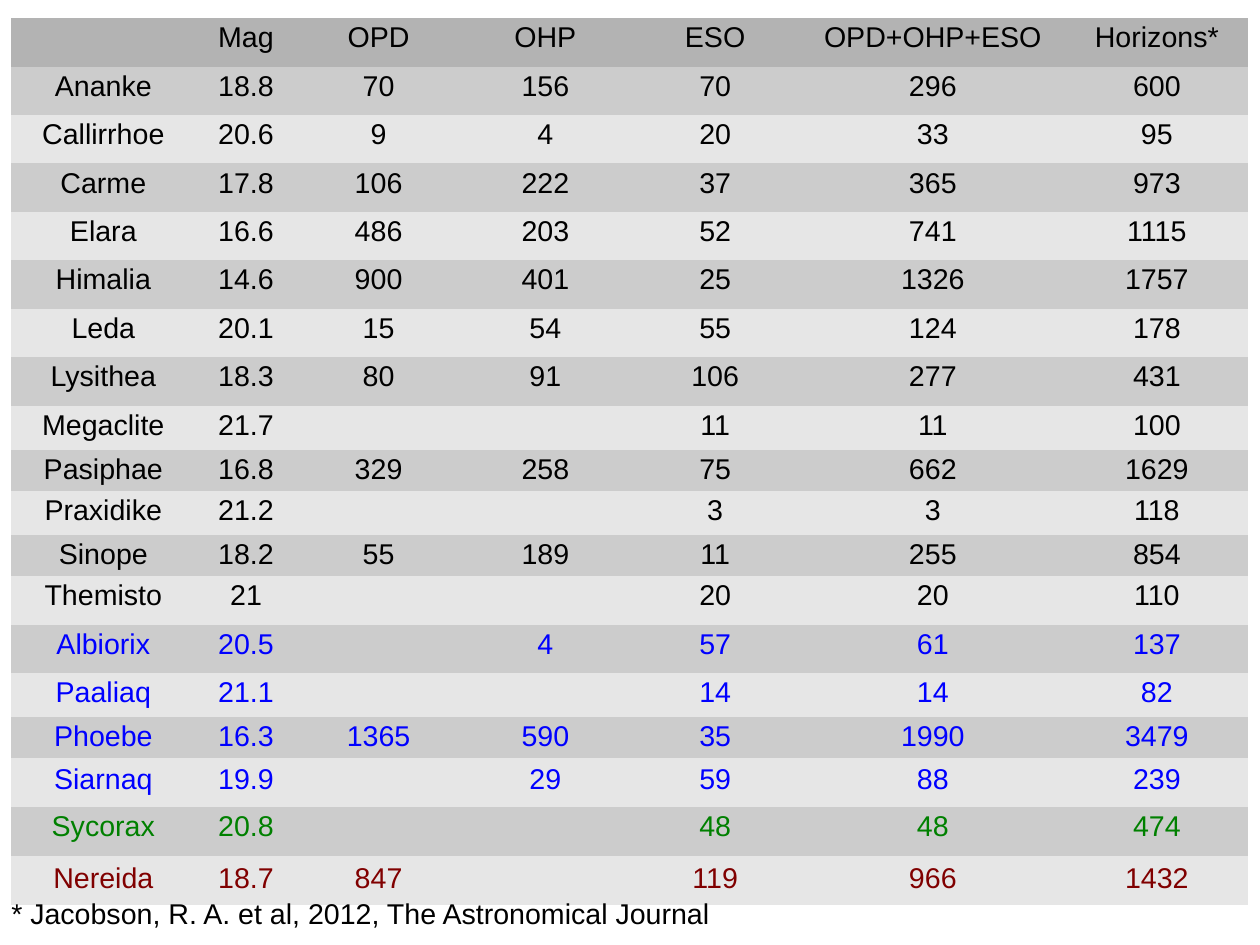
from lxml.etree import SubElement
from pptx import Presentation
from pptx.dml.color import RGBColor
from pptx.enum.text import MSO_ANCHOR, PP_ALIGN
from pptx.oxml.ns import qn
from pptx.util import Pt

CENTER = PP_ALIGN.CENTER
LEFT = PP_ALIGN.LEFT
TOP = MSO_ANCHOR.TOP

BLACK = RGBColor(0x00, 0x00, 0x00)
BLUE = RGBColor(0x00, 0x00, 0xFF)
GREEN = RGBColor(0x00, 0x80, 0x00)
MAROON = RGBColor(0x80, 0x00, 0x00)
HEAD_FILL = RGBColor(0xB3, 0xB3, 0xB3)
DARK_FILL = RGBColor(0xCC, 0xCC, 0xCC)
LIGHT_FILL = RGBColor(0xE6, 0xE6, 0xE6)

FONT = "Arial"
SIZE = 18
TIGHT = 0.93
NO_STYLE = "{2D5ABB26-0587-4C30-8999-92F81FD0307C}"

WIDTHS = [116.4, 63.4, 103.6, 106.6, 107.3, 167, 115.2]
HEIGHTS = [30.55] * 8 + [27.7, 25.9] * 2 + [30.55] * 2 + [27.7, 25.9] + [30.9] * 3
LOOSE = {"Siarnaq", "Nereida"}

GROUPS = [
    (BLACK, [
        ("", "Mag", "OPD", "OHP", "ESO", "OPD+OHP+ESO", "Horizons*"),
        ("Ananke", "18.8", "70", "156", "70", "296", "600"),
        ("Callirrhoe", "20.6", "9", "4", "20", "33", "95"),
        ("Carme", "17.8", "106", "222", "37", "365", "973"),
        ("Elara", "16.6", "486", "203", "52", "741", "1115"),
        ("Himalia", "14.6", "900", "401", "25", "1326", "1757"),
        ("Leda", "20.1", "15", "54", "55", "124", "178"),
        ("Lysithea", "18.3", "80", "91", "106", "277", "431"),
        ("Megaclite", "21.7", "", "", "11", "11", "100"),
        ("Pasiphae", "16.8", "329", "258", "75", "662", "1629"),
        ("Praxidike", "21.2", "", "", "3", "3", "118"),
        ("Sinope", "18.2", "55", "189", "11", "255", "854"),
        ("Themisto", "21", "", "", "20", "20", "110"),
    ]),
    (BLUE, [
        ("Albiorix", "20.5", "", "4", "57", "61", "137"),
        ("Paaliaq", "21.1", "", "", "14", "14", "82"),
        ("Phoebe", "16.3", "1365", "590", "35", "1990", "3479"),
        ("Siarnaq", "19.9", "", "29", "59", "88", "239"),
    ]),
    (GREEN, [
        ("Sycorax", "20.8", "", "", "48", "48", "474"),
    ]),
    (MAROON, [
        ("Nereida", "18.7", "847", "", "119", "966", "1432"),
    ]),
]


def write(frame, text, color, align, spacing):
    line = frame.paragraphs[0]
    line.alignment = align
    line.line_spacing = spacing
    run = line.add_run()
    run.text = text
    run.font.name = FONT
    run.font.size = Pt(SIZE)
    run.font.color.rgb = color


def set_empty(frame):
    mark = SubElement(frame.paragraphs[0]._p, qn("a:endParaRPr"), sz=str(SIZE * 100))
    SubElement(mark, qn("a:latin"), typeface=FONT)


def set_insets(box, side, top, bottom):
    box.margin_left = box.margin_right = Pt(side)
    box.margin_top = Pt(top)
    box.margin_bottom = Pt(bottom)
    box.vertical_anchor = TOP


def fill_cell(cell, text, fill, color, spacing):
    set_insets(cell, 3, 3.6, 3.6)
    cell.fill.solid()
    cell.fill.fore_color.rgb = fill
    if text:
        write(cell.text_frame, text, color, CENTER, spacing)
    else:
        set_empty(cell.text_frame)


def row_fill(index):
    if index == 0:
        return HEAD_FILL
    return DARK_FILL if index % 2 else LIGHT_FILL


def add_moons(slide):
    rows = [(color, row) for color, group in GROUPS for row in group]
    table = slide.shapes.add_table(
        len(rows), len(WIDTHS), Pt(6.9), Pt(11.4),
        Pt(sum(WIDTHS)), Pt(sum(HEIGHTS))).table
    table.first_row = table.horz_banding = False
    table._tbl.tblPr.find(qn("a:tableStyleId")).text = NO_STYLE
    for column, width in zip(table.columns, WIDTHS):
        column.width = Pt(width)
    for index, (color, row) in enumerate(rows):
        table.rows[index].height = Pt(HEIGHTS[index])
        spacing = 1.0 if row[0] in LOOSE else TIGHT
        for col, text in enumerate(row):
            fill_cell(table.cell(index, col), text, row_fill(index), color, spacing)


def add_note(slide, text):
    frame = slide.shapes.add_textbox(Pt(0), Pt(561.2), Pt(504.7), Pt(27.4)).text_frame
    frame.word_wrap = True
    set_insets(frame, 7.2, 5, 3.6)
    write(frame, text, BLACK, LEFT, TIGHT)


def main():
    deck = Presentation()
    deck.slide_width = Pt(793.7)
    deck.slide_height = Pt(595.28)
    slide = deck.slides.add_slide(deck.slide_layouts[6])
    add_moons(slide)
    add_note(slide, "* Jacobson, R. A. et al, 2012, The Astronomical Journal")
    deck.save("out.pptx")


if __name__ == "__main__":
    main()
